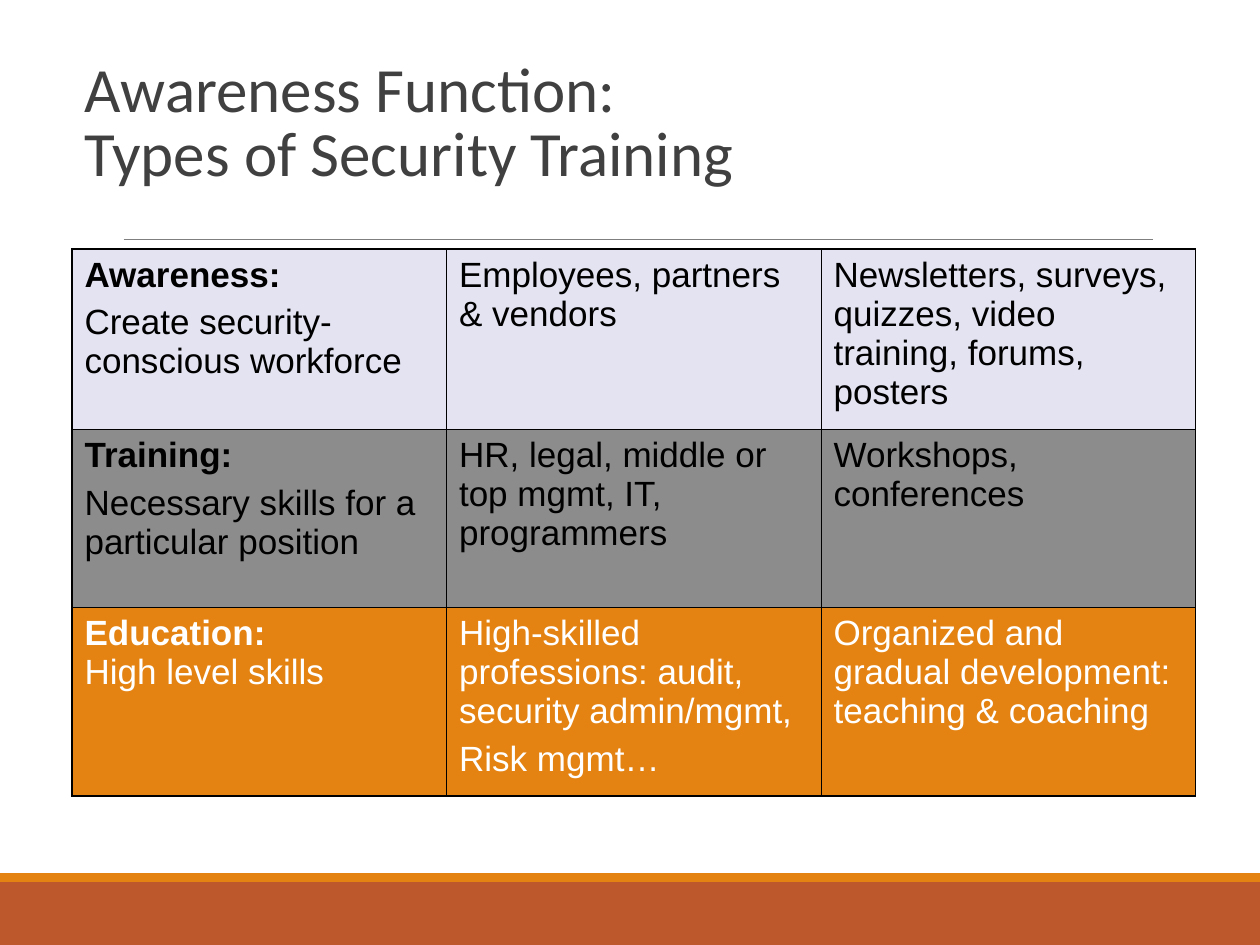
from pptx import Presentation
from pptx.util import Cm, Pt
from pptx.dml.color import RGBColor
from pptx.enum.shapes import MSO_CONNECTOR, MSO_SHAPE
from pptx.enum.text import MSO_ANCHOR, PP_ALIGN
from lxml.etree import SubElement
from pptx.oxml.ns import qn

COLORS = {
    "title": "404040", "rule": "7F7F7F", "border": "000000",
    "rust": "BD582C", "orange": "E48312", "lavender": "E3E3F1",
    "gray": "8C8C8C", "black": "000000", "white": "FFFFFF",
}


def rgb(name):
    return RGBColor.from_string(COLORS[name])


def add_run(p, text, font, size, color, bold=False):
    r = p.add_run()
    r.text = text
    r.font.name = font
    r.font.size = Pt(size)
    r.font.bold = bold
    r.font.color.rgb = rgb(color)


prs = Presentation()
prs.slide_width, prs.slide_height = Cm(25.4), Cm(19.05)
s = prs.slides.add_slide(prs.slide_layouts[5])

for top, height, color in [(17.78, 1.27, "rust"), (17.6, 0.18, "orange")]:
    sp = s.shapes.add_shape(MSO_SHAPE.RECTANGLE, 0, Cm(top), prs.slide_width, Cm(height))
    sp.shadow.inherit = False
    sp.fill.solid()
    sp.fill.fore_color.rgb = rgb(color)
    sp.line.fill.background()

rule = s.shapes.add_connector(MSO_CONNECTOR.STRAIGHT, Cm(2.49), Cm(4.83), Cm(23.24), Cm(4.83))
rule.line.color.rgb = rgb("rule")
rule.line.width = Pt(0.5)
SubElement(rule._element.spPr, qn("a:effectLst"))

title = s.shapes.title
title.left, title.top, title.width, title.height = Cm(1.45), Cm(1.7), Cm(22.66), Cm(2.24)
tf = title.text_frame
tf.word_wrap = True
tf.vertical_anchor = MSO_ANCHOR.BOTTOM
p = tf.paragraphs[0]
p.alignment = PP_ALIGN.LEFT
p.line_spacing = 0.85
add_run(p, "Awareness Function:", "Calibri", 36, "title")
p.add_line_break()
add_run(p, "Types of Security Training", "Calibri", 36, "title")

# Each cell lists its paragraphs; each paragraph lists its lines.
rows = [
    (3.64, "lavender", "black", [
        [["Awareness:"], ["Create security-conscious workforce"]],
        [["Employees, partners & vendors"]],
        [["Newsletters, surveys, quizzes, video training, forums, posters"]],
    ]),
    (3.58, "gray", "black", [
        [["Training:"], ["Necessary skills for a particular position"]],
        [["HR, legal, middle or top mgmt, IT, programmers"]],
        [["Workshops, conferences"]],
    ]),
    (3.81, "orange", "white", [
        [["Education: ", "High level skills"]],
        [["High-skilled professions: audit, security admin/mgmt,"], ["Risk mgmt…"]],
        [["Organized and gradual development: teaching & coaching"]],
    ]),
]
n_rows, n_cols = len(rows), 3
table = s.shapes.add_table(n_rows, n_cols, Cm(1.45), Cm(5.02), Cm(22.65), Cm(11.03)).table
for col in table.columns:
    col.width = Cm(7.55)

for i, (height, fill, color, cells) in enumerate(rows):
    table.rows[i].height = Cm(height)
    for j, paragraphs in enumerate(cells):
        cell = table.cell(i, j)
        tcPr = cell._tc.get_or_add_tcPr()
        edges = {"lnL": j == 0, "lnR": j == n_cols - 1, "lnT": i == 0, "lnB": i == n_rows - 1}
        for tag, outer in edges.items():
            ln = SubElement(tcPr, qn(f"a:{tag}"), w=str(Pt(1.08 if outer else 0.45)))
            solid = SubElement(ln, qn("a:solidFill"))
            SubElement(solid, qn("a:srgbClr"), val=COLORS["border"])
        cell.fill.solid()
        cell.fill.fore_color.rgb = rgb(fill)
        tf = cell.text_frame
        for k, lines in enumerate(paragraphs):
            p = tf.add_paragraph() if k else tf.paragraphs[0]
            p.space_before = Pt(5)
            for m, text in enumerate(lines):
                if m:
                    p.add_line_break()
                add_run(p, text, "Arial", 20, color, bold=j == k == m == 0)

prs.save("out.pptx")
